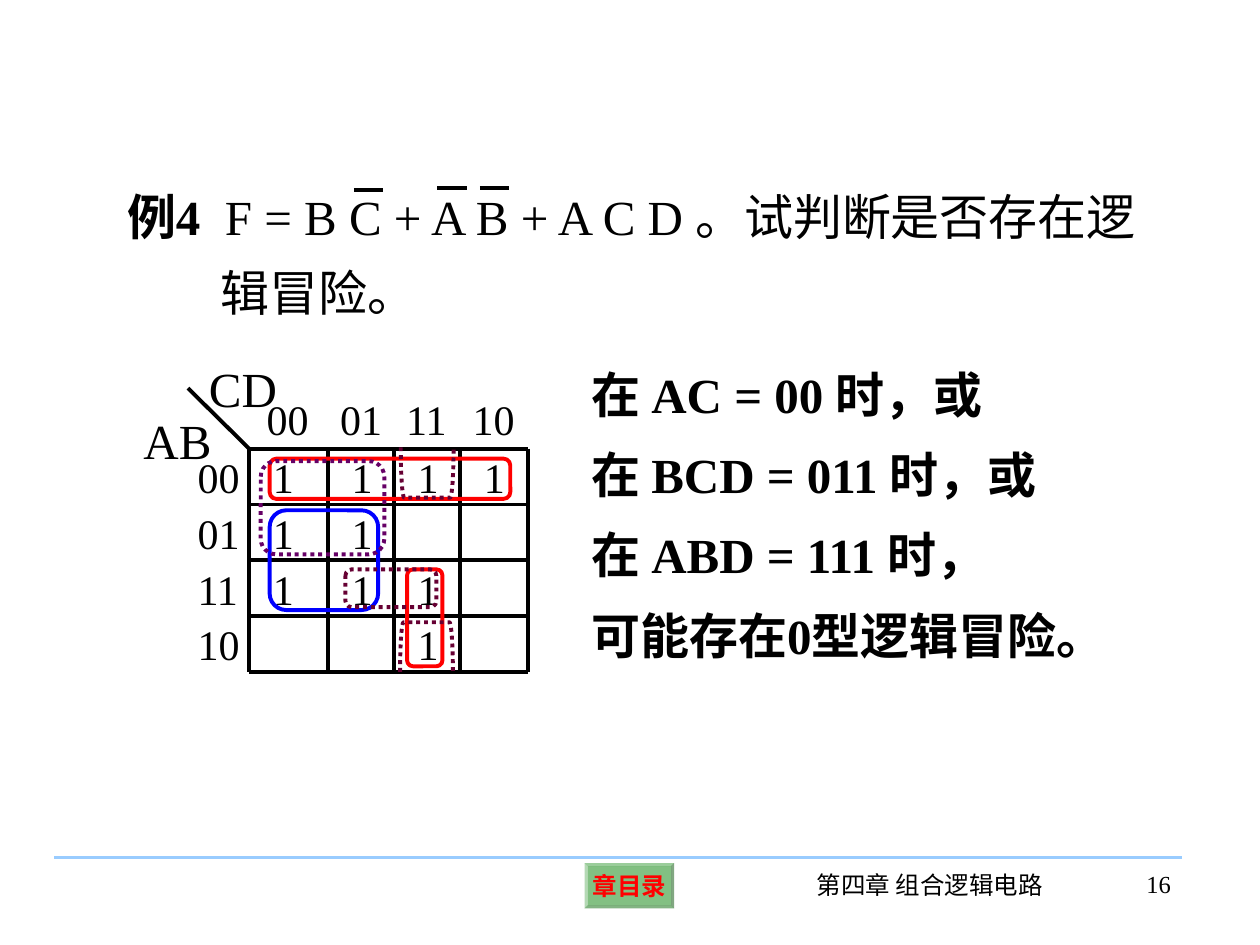
import math

import lxml.etree
import pptx
import pptx.dml.color
import pptx.enum.dml
import pptx.enum.shapes
import pptx.enum.text
import pptx.oxml.ns
import pptx.util

Pt = pptx.util.Pt
RGBColor = pptx.dml.color.RGBColor
SHAPE = pptx.enum.shapes.MSO_SHAPE
ALIGN = pptx.enum.text.PP_ALIGN
ANCHOR = pptx.enum.text.MSO_ANCHOR
qn = pptx.oxml.ns.qn

BLACK = RGBColor(0x00, 0x00, 0x00)
RED = RGBColor(0xFF, 0x00, 0x00)
BLUE = RGBColor(0x00, 0x00, 0xFF)
PURPLE = RGBColor(0x66, 0x00, 0x66)
PLUM = RGBColor(0x66, 0x00, 0x33)
GREEN = RGBColor(0x00, 0x80, 0x00)
SKY = RGBColor(0x99, 0xCC, 0xFF)
FONT = "Times New Roman"
LINE_WIDTH = 2.25


def style_run(r, size, color=BLACK, bold=False):
    """Set the font of one run."""
    r.font.name = FONT
    r.font.size = Pt(size)
    r.font.bold = bold
    r.font.color.rgb = color


def add_text(s, text, x, y, w, h, size, bold=False, align=ALIGN.LEFT):
    """Add a one-paragraph text box and return its frame."""
    tf = s.shapes.add_textbox(Pt(x), Pt(y), Pt(w), Pt(h)).text_frame
    tf.word_wrap = True
    tf.text = text
    p = tf.paragraphs[0]
    p.alignment = align
    style_run(p.runs[0], size, bold=bold)
    return tf


def add_line(s, x1, y1, x2, y2, color=BLACK):
    """Add a straight line without shadow."""
    line = s.shapes.add_connector(
        pptx.enum.shapes.MSO_CONNECTOR.STRAIGHT, Pt(x1), Pt(y1), Pt(x2), Pt(y2))
    line.line.color.rgb = color
    line.line.width = Pt(LINE_WIDTH)
    lxml.etree.SubElement(line._element.spPr, qn("a:effectLst"))


def style_outline(sp, color, dotted):
    """Give a shape an outline only."""
    sp.shadow.inherit = False
    sp.fill.background()
    sp.line.color.rgb = color
    sp.line.width = Pt(LINE_WIDTH)
    if dotted:
        sp.line.dash_style = pptx.enum.dml.MSO_LINE.ROUND_DOT


def add_loop(s, x, y, w, h, color, dotted=False):
    """Add a rounded loop around a group of cells."""
    sp = s.shapes.add_shape(SHAPE.ROUNDED_RECTANGLE, Pt(x), Pt(y), Pt(w), Pt(h))
    sp.adjustments[0] = 0.167
    style_outline(sp, color, dotted)


def add_half_loop(s, x, base, w, h, color):
    """Add an open dotted loop from the base line; a negative h reaches up."""
    corner, steps = 2, 12
    angles = [math.pi / 2 * i / steps for i in range(steps + 1)]
    curve = [(corner * (1 - math.cos(a)), h * math.sin(a)) for a in angles]
    points = [(x + dx, base + dy) for dx, dy in curve]
    points += [(x + w - dx, base + dy) for dx, dy in reversed(curve)]
    fb = s.shapes.build_freeform(Pt(points[0][0]), Pt(points[0][1]))
    fb.add_line_segments([(Pt(px), Pt(py)) for px, py in points[1:]], close=False)
    style_outline(fb.convert_to_shape(), color, True)


def add_question(s, x, y, w, h):
    """Place the example statement and its negation bars."""
    tf = add_text(s, "例4", x, y, w, h, 28, bold=True)
    p = tf.paragraphs[0]
    p.line_spacing = 1.3
    pPr = p._p.get_or_add_pPr()
    pPr.set("marL", str(Pt(53.3)))
    pPr.set("indent", str(-Pt(53.3)))
    gap = p.add_run()
    gap.text = " "
    style_run(gap, 28)
    gap._r.get_or_add_rPr().set("spc", "700")
    r = p.add_run()
    r.text = "F = B C + A B + A C D 。试判断是否存在逻辑冒险。"
    style_run(r, 28)
    for dx, dy in ((136.8, 15.8), (184.4, 14.6), (208.8, 14.6)):
        add_line(s, x + dx, y + dy, x + dx + 16.8, y + dy)


def add_cell(s, text, x, y, w, h, indent):
    """Place one map entry, centred vertically."""
    tf = add_text(s, text, x, y, w, h, 24)
    tf.vertical_anchor = ANCHOR.MIDDLE
    tf.margin_left = Pt(indent)
    tf.margin_right = tf.margin_top = tf.margin_bottom = Pt(1.5)


def add_karnaugh_map(s, x, y, w, h):
    """Place the map on the grid box, with labels above and to the left."""
    codes = ("00", "01", "11", "10")
    cells = ("1111", "11  ", "111 ", "  1 ")
    edges = (0, 45, 82.7, 120.6, w)
    row_h = h / len(cells)
    label_w = 35
    add_text(s, "AB", x - 67.5, y - 25.3, 65.5, 41, 28)
    add_text(s, "CD", x - 30.1, y - 54.8, 65.5, 41, 28)
    for c, code in enumerate(codes):
        indent = 10 if c == 0 else 7
        add_cell(s, code, x + edges[c], y - 34.6, edges[c + 1] - edges[c], 34.6, indent)
    for i, (code, row) in enumerate(zip(codes, cells)):
        top = y + i * row_h
        add_cell(s, code, x - label_w, top, label_w, row_h, 5.5)
        for c, value in enumerate(row):
            if value == "1":
                add_cell(s, value, x + edges[c], top, edges[c + 1] - edges[c], row_h, 13.5)
    add_line(s, x - label_w, y - 34.6, x, y)
    for edge in edges:
        add_line(s, x + edge, y, x + edge, y + h)
    for i in range(len(cells) + 1):
        add_line(s, x, y + i * row_h, x + w, y + i * row_h)
    loops = (
        (11.7, 5.7, 137.5, 23, RED, False),
        (11.7, 35.2, 62, 57, BLUE, False),
        (90.2, 69, 20.2, 55.4, RED, False),
        (6.6, 7.1, 70.6, 53.3, PURPLE, True),
        (55, 69, 52, 21.6, PLUM, True),
    )
    for dx, dy, lw, lh, color, dotted in loops:
        add_loop(s, x + dx, y + dy, lw, lh, color, dotted)
    add_half_loop(s, x + 86.2, y + h, 30.2, -28.4, PLUM)
    add_half_loop(s, x + 86.6, y - 0.8, 30.2, 28.8, PLUM)


def add_conclusions(s, x, y, w, h):
    """Place the hazard conditions one below another."""
    lines = ("在 AC = 00 时，或", "在 BCD = 011 时，或", "在 ABD = 111 时，", "可能存在0型逻辑冒险。")
    offsets = (0, 45.7, 91.4, 138.2)
    for text, dy in zip(lines, offsets):
        add_text(s, text, x, y + dy, w, h - offsets[-1], 28, bold=True)


def add_footer(s, x, y, w, h):
    """Place the rule, contents button, chapter title and page number."""
    add_line(s, x, y, x + w, y, SKY)
    sp = s.shapes.add_shape(SHAPE.BEVEL, Pt(x + 303.1), Pt(y + 3.2), Pt(51.2), Pt(25.9))
    sp.adjustments[0] = 0.07
    sp.shadow.inherit = False
    sp.line.fill.background()
    sp.fill.solid()
    sp.fill.fore_color.rgb = GREEN
    color = sp._element.spPr.find(".//" + qn("a:srgbClr"))
    lxml.etree.SubElement(color, qn("a:alpha")).set("val", "49000")
    tf = sp.text_frame
    tf.word_wrap = False
    tf.vertical_anchor = ANCHOR.MIDDLE
    tf.margin_left = tf.margin_right = tf.margin_top = tf.margin_bottom = Pt(1)
    tf.text = "章目录"
    tf.paragraphs[0].alignment = ALIGN.CENTER
    style_run(tf.paragraphs[0].runs[0], 14, RED, True)
    add_text(s, "第四章 组合逻辑电路", x + 418.3, y + 3.9, 164.2, h, 14, align=ALIGN.CENTER)
    add_text(s, "16", x + w - 61.2, y + 3.2, 62, h, 14, align=ALIGN.RIGHT)


def main():
    """Build the slide and save it."""
    prs = pptx.Presentation()
    prs.slide_width, prs.slide_height = Pt(720), Pt(540)
    s = prs.slides.add_slide(prs.slide_layouts[6])
    add_footer(s, 31, 490, 644.4, 36)
    add_question(s, 65.5, 92.9, 596.2, 95)
    add_karnaugh_map(s, 142.4, 256.4, 159.3, 127.6)
    add_conclusions(s, 330.8, 204.5, 313.2, 179.2)
    prs.save("out.pptx")


if __name__ == "__main__":
    main()
